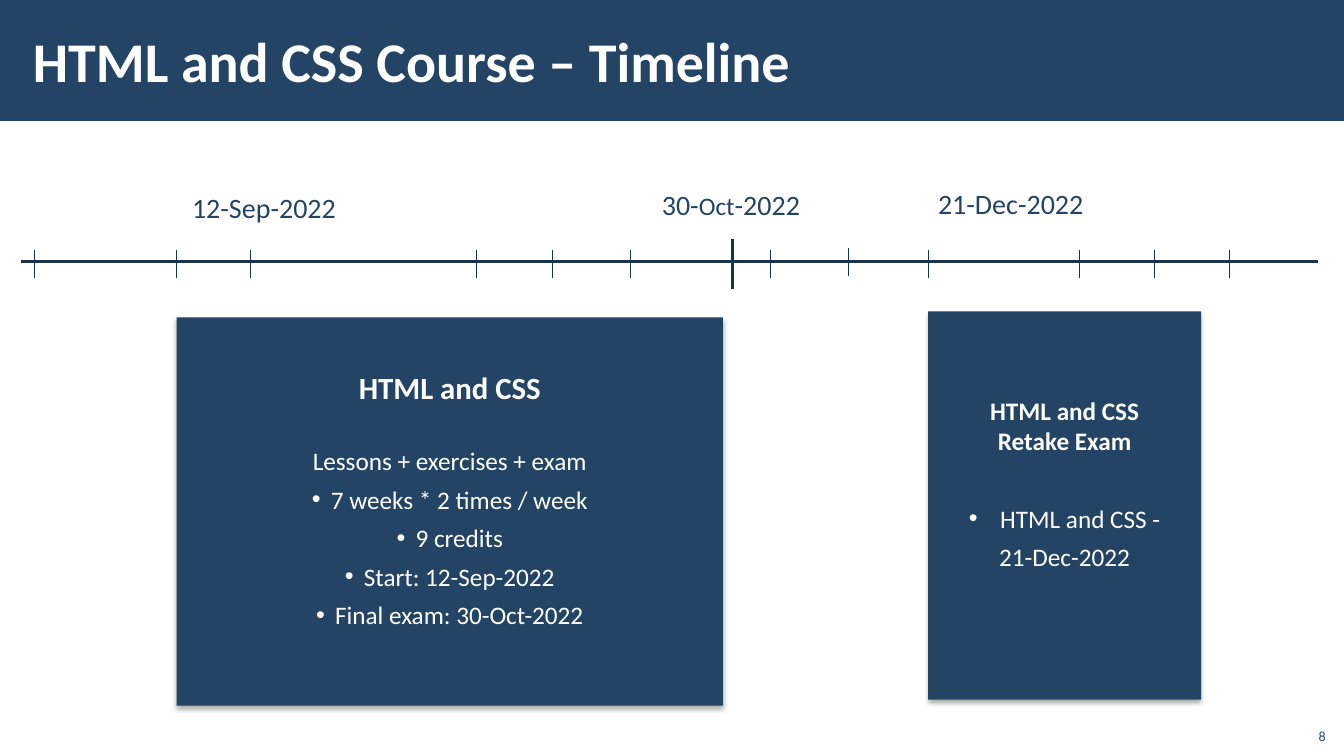
"""Build the course timeline slide."""
from lxml.etree import SubElement
from pptx import Presentation
from pptx.dml.color import RGBColor
from pptx.enum.shapes import MSO_CONNECTOR, MSO_SHAPE
from pptx.enum.text import MSO_ANCHOR, PP_ALIGN
from pptx.oxml.ns import qn
from pptx.util import Cm, Pt

COLORS = {"navy": "234465", "axis": "1A334C", "white": "FFFFFF", "shadow": "000000"}


def color(name):
    return RGBColor.from_string(COLORS[name])


def write(para, text, size=18, ink="white", bold=False):
    for index, line in enumerate(text.split("\n")):
        if index:
            para.add_line_break()
        span = para.add_run()
        span.text = line
        span.font.name = "Calibri"
        span.font.size = Pt(size)
        span.font.bold = bold
        span.font.color.rgb = color(ink)


def add_bullet(para, indent):
    properties = para._p.get_or_add_pPr()
    properties.set("marL", str(Cm(indent)))
    properties.set("indent", str(-Cm(indent)))
    SubElement(properties, qn("a:buFont"), typeface="Arial")
    SubElement(properties, qn("a:buChar"), char="•")


class TimelineSlide:
    def __init__(self, page, ink="navy", fill="navy", axis="axis"):
        self.page = page
        self.ink = ink
        self.fill = fill
        self.axis = axis

    def rectangle(self, left, top, width, height):
        box = self.page.shapes.add_shape(
            MSO_SHAPE.RECTANGLE, Cm(left), Cm(top), Cm(width), Cm(height))
        box.shadow.inherit = False
        box.fill.solid()
        box.fill.fore_color.rgb = color(self.fill)
        box.line.fill.background()
        return box

    def line(self, start, end, weight):
        connector = self.page.shapes.add_connector(
            MSO_CONNECTOR.STRAIGHT, *map(Cm, start + end))
        connector.line.color.rgb = color(self.axis)
        connector.line.width = Pt(weight)
        SubElement(connector._element.spPr, qn("a:effectLst"))

    def text(self, left, top, width, height, spans, ink=None, bold=False,
             align=PP_ALIGN.LEFT, anchor=MSO_ANCHOR.TOP, wrap=False, inset=0.25):
        box = self.page.shapes.add_textbox(Cm(left), Cm(top), Cm(width), Cm(height))
        frame = box.text_frame
        frame.word_wrap = wrap
        frame.vertical_anchor = anchor
        frame.margin_left = frame.margin_right = Cm(inset)
        para = frame.paragraphs[0]
        para.alignment = align
        for content, size in spans:
            write(para, content, size, ink or self.ink, bold)

    def card(self, left, top, width, height, inset, heading, heading_size, gap, items, indent):
        box = self.rectangle(left, top, width, height)
        effects = box._element.spPr.find(qn("a:effectLst"))
        shadow = SubElement(effects, qn("a:outerShdw"), blurRad=str(Pt(3.5)),
                            dist=str(Pt(2.2)), dir="5400000", rotWithShape="0")
        tint = SubElement(shadow, qn("a:srgbClr"), val=COLORS["shadow"])
        SubElement(tint, qn("a:alpha"), val="32000")
        frame = box.text_frame
        frame.word_wrap = True
        frame.vertical_anchor = MSO_ANCHOR.TOP
        frame.margin_top = Cm(inset)
        para = frame.paragraphs[0]
        para.alignment = PP_ALIGN.CENTER
        write(para, heading, heading_size, bold=True)
        for index, (content, bulleted) in enumerate(items):
            para = frame.add_paragraph()
            para.alignment = PP_ALIGN.CENTER
            para.space_before = Pt(6 if index else gap)
            write(para, content)
            if bulleted:
                add_bullet(para, indent)


def main():
    deck = Presentation()
    deck.slide_width, deck.slide_height = Cm(33.87), Cm(19.05)
    page = deck.slides.add_slide(deck.slide_layouts[6])
    slide = TimelineSlide(page)

    slide.rectangle(0, 0, 33.87, 3.05)
    slide.text(0.53, 0.28, 27, 2.46, [("HTML and CSS Course – Timeline", 40)],
               ink="white", bold=True, anchor=MSO_ANCHOR.MIDDLE, wrap=True, inset=0.3)

    slide.line((0.53, 6.6), (33.22, 6.6), 2.25)
    slide.line((18.45, 6.02), (18.45, 7.29), 2.25)
    for tick in (0.86, 4.45, 6.32, 12.01, 13.92, 15.88, 19.41,
                 21.39, 23.39, 27.2, 29.08, 30.99):
        top = 6.25 if tick == 21.39 else 6.3
        slide.line((tick, top), (tick, top + 0.71), 0.5)

    for left, top, width, spans in (
        (4.59, 4.67, 4.22, [("12-Sep-2022", 20)]),
        (16.43, 4.6, 4.01, [("30-", 20), ("Oct", 18), ("-2022", 20)]),
        (23.39, 4.57, 4.22, [("21-Dec-2022", 20)]),
    ):
        slide.text(left, top, width, 1.11, spans)

    slide.card(4.45, 8, 13.77, 9.78, 1.3, "HTML and CSS", 22, 28, [
        ("Lessons + exercises + exam", False),
        ("7 weeks * 2 times / week", True),
        ("9 credits", True),
        ("Start: 12-Sep-2022", True),
        ("Final exam: 30-Oct-2022", True),
    ], 0.48)
    slide.card(23.39, 7.85, 6.88, 9.78, 2.1, "HTML and CSS\nRetake Exam", 18, 34, [
        ("HTML and CSS -", True),
        ("21-Dec-2022", False),
    ], 0.79)

    slide.text(32.64, 18.08, 1.02, 0.81, [("8", 10)], align=PP_ALIGN.RIGHT,
               anchor=MSO_ANCHOR.BOTTOM, wrap=True)
    deck.save("out.pptx")


if __name__ == "__main__":
    main()
